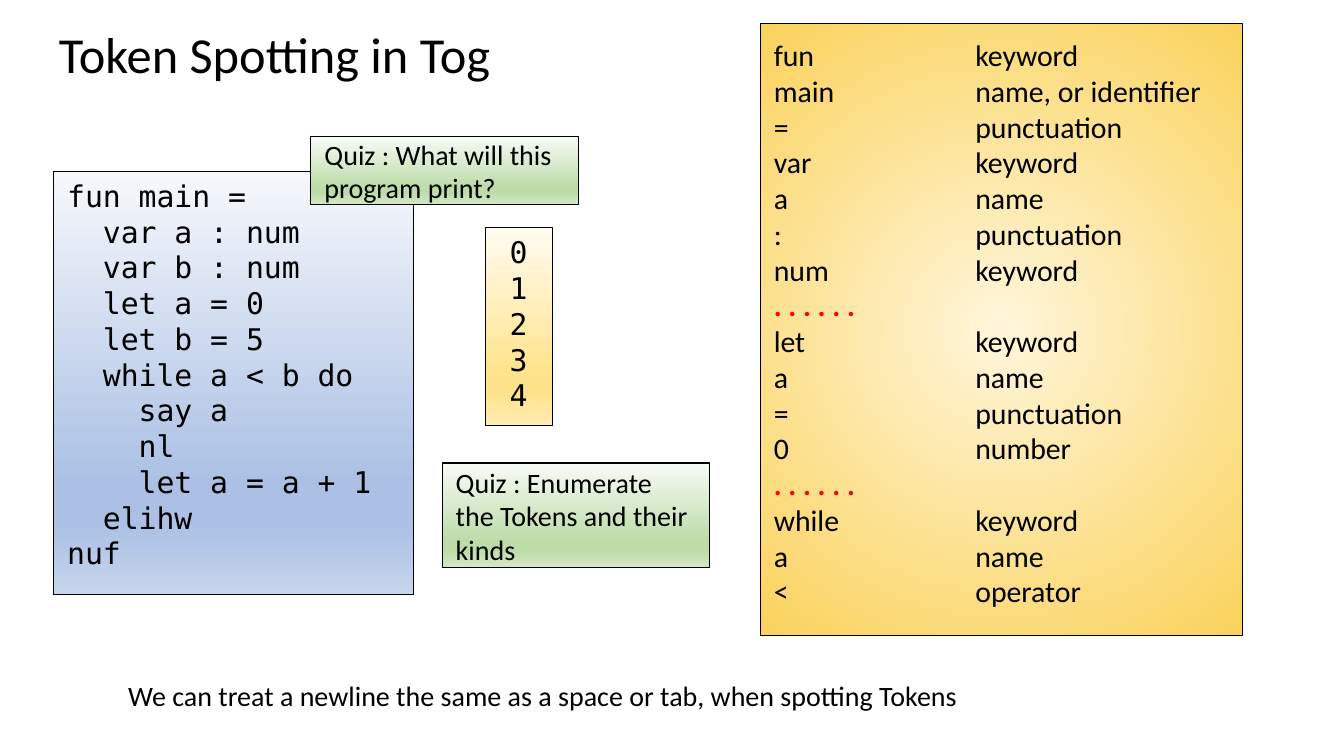
import pptx
import pptx.dml.color
import pptx.enum.shapes
import pptx.enum.text
import pptx.oxml
import pptx.oxml.ns
import pptx.util

RGBColor = pptx.dml.color.RGBColor
ALIGN = pptx.enum.text.PP_ALIGN
ANCHOR = pptx.enum.text.MSO_ANCHOR

BLACK = RGBColor(0x00, 0x00, 0x00)
RED = RGBColor(0xFF, 0x00, 0x00)
CREAM = RGBColor(0xFF, 0xF6, 0xDB)
GOLD = RGBColor(0xFA, 0xD2, 0x5C)

# Light, middle and end colours of the vertical gradients
BLUES = (RGBColor(0xF6, 0xF8, 0xFC), RGBColor(0xAB, 0xC0, 0xE4), RGBColor(0xC7, 0xD5, 0xED))
YELLOWS = (RGBColor(0xFF, 0xFC, 0xF2), RGBColor(0xFF, 0xE3, 0x8C), RGBColor(0xFF, 0xEC, 0xB2))
GREENS = (RGBColor(0xF8, 0xFB, 0xF6), RGBColor(0xBE, 0xDC, 0xAA), RGBColor(0xD4, 0xE8, 0xC6))

SANS = "Calibri"
MONO = "DejaVu Sans Mono"
DOTS = ". . . . . ."

PROGRAM = """fun main =
  var a : num
  var b : num
  let a = 0
  let b = 5
  while a < b do
    say a
    nl
    let a = a + 1
  elihw
nuf"""

TOKENS = [
    ("fun", "keyword"), ("main", "name, or identifier"), ("=", "punctuation"),
    ("var", "keyword"), ("a", "name"), (":", "punctuation"), ("num", "keyword"),
    (DOTS,),
    ("let", "keyword"), ("a", "name"), ("=", "punctuation"), ("0", "number"),
    (DOTS,),
    ("while", "keyword"), ("a", "name"), ("<", "operator"),
]


def px(length):
    return pptx.util.Emu(length * 9525)


def gradient(stops, direction):
    """Gradient fill from (percent, colour) stops."""
    marks = "".join(
        f'<a:gs pos="{percent * 1000}"><a:srgbClr val="{colour}"/></a:gs>'
        for percent, colour in stops)
    return pptx.oxml.parse_xml(
        f'<a:gradFill {pptx.oxml.ns.nsdecls("a")} rotWithShape="1">'
        f"<a:gsLst>{marks}</a:gsLst>{direction}</a:gradFill>")


def vertical(colours):
    light, middle, end = colours
    return gradient([(0, light), (74, middle), (83, middle), (100, end)],
                    '<a:lin ang="5400000" scaled="1"/>')


def radial(centre, edge):
    return gradient([(0, centre), (100, edge)],
                    '<a:path path="circle">'
                    '<a:fillToRect l="50000" t="50000" r="50000" b="50000"/></a:path>')


class SlideBuilder:
    def __init__(self, slide):
        self.slide = slide

    def set_lines(self, shape, lines, size, font=SANS, inset=(13, 6),
                  anchor=ANCHOR.TOP, align=ALIGN.LEFT):
        frame = shape.text_frame
        frame.word_wrap = True
        frame.vertical_anchor = anchor
        frame.margin_left = frame.margin_right = px(inset[0])
        frame.margin_top = frame.margin_bottom = px(inset[1])
        for number, line in enumerate(lines):
            para = frame.add_paragraph() if number else frame.paragraphs[0]
            para.text = line
            para.alignment = align
            para.font.name = font
            para.font.size = pptx.util.Pt(size)
            para.font.color.rgb = BLACK
        return frame

    def text(self, place, line, size, **style):
        box = self.slide.shapes.add_textbox(*map(px, place))
        return self.set_lines(box, [line], size, **style)

    def panel(self, place, fill, lines, size, **style):
        shape = self.slide.shapes.add_shape(
            pptx.enum.shapes.MSO_SHAPE.RECTANGLE, *map(px, place))
        shape.shadow.inherit = False
        geometry = shape._element.spPr.find(pptx.oxml.ns.qn("a:prstGeom"))
        geometry.addnext(fill)
        shape.line.color.rgb = BLACK
        shape.line.width = pptx.util.Pt(0.75)
        return self.set_lines(shape, lines, size, **style)

    def quiz(self, place, question):
        self.panel(place, vertical(GREENS), [question], 20,
                   inset=(13, 13), anchor=ANCHOR.MIDDLE)

    def token_list(self, place, rows):
        frame = self.panel(place, radial(CREAM, GOLD),
                           ["\t".join(row) for row in rows], 21.3, inset=(13, 13))
        for para, row in zip(frame.paragraphs, rows):
            if row == (DOTS,):
                para.font.bold = True
                para.font.color.rgb = RED
                continue
            # Tab stop of the column of kinds, placed ahead of the font
            tabs = pptx.oxml.parse_xml(
                f'<a:tabLst {pptx.oxml.ns.nsdecls("a")}>'
                f'<a:tab pos="{px(192)}" algn="l"/></a:tabLst>')
            para._p.pPr.insert(0, tabs)


def main():
    deck = pptx.Presentation()
    deck.slide_width, deck.slide_height = px(1280), px(720)
    page = SlideBuilder(deck.slides.add_slide(deck.slide_layouts[6]))

    # Title
    title = page.text((43, 22, 506, 65), "Token Spotting in Tog", 36, anchor=ANCHOR.MIDDLE)
    title.paragraphs[0].line_spacing = 0.9

    # Tokens and their kinds
    page.token_list((724, 22, 459, 583), TOKENS)

    # Program
    page.panel((51, 163, 343, 403), vertical(BLUES), PROGRAM.split("\n"), 21.3, font=MONO)

    # Remark at the foot
    remark = page.text(
        (112, 641, 869, 42),
        "We can treat a newline the same as a space or tab, when spotting Tokens",
        20, inset=(10, 5))
    remark.auto_size = pptx.enum.text.MSO_AUTO_SIZE.SHAPE_TO_FIT_TEXT

    # Program output
    page.panel((462, 217, 64, 188), vertical(YELLOWS), [str(n) for n in range(5)], 21.3,
               font=MONO, align=ALIGN.CENTER)

    # Quiz questions
    page.quiz((296, 130, 255, 65), "Quiz : What will this program print?")
    page.quiz((421, 441, 255, 100), "Quiz : Enumerate the Tokens and their kinds")

    deck.save("out.pptx")


if __name__ == "__main__":
    main()
